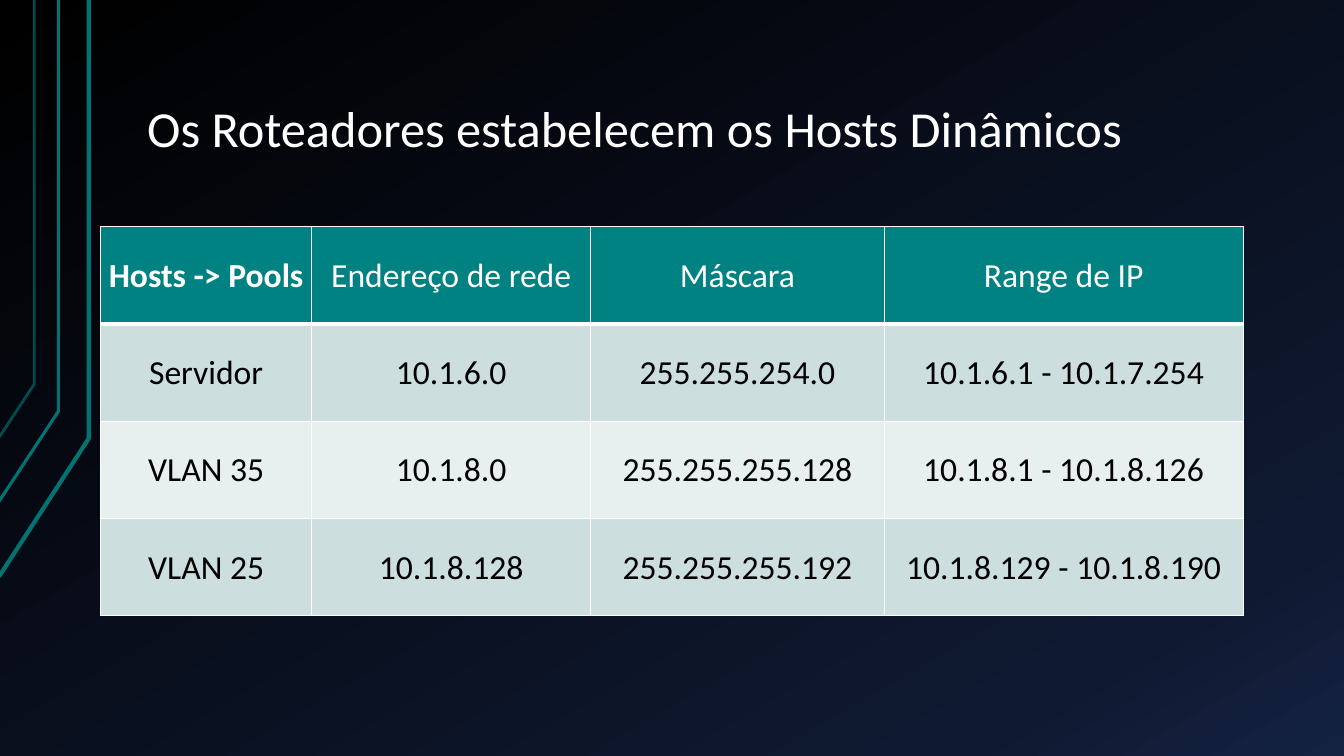
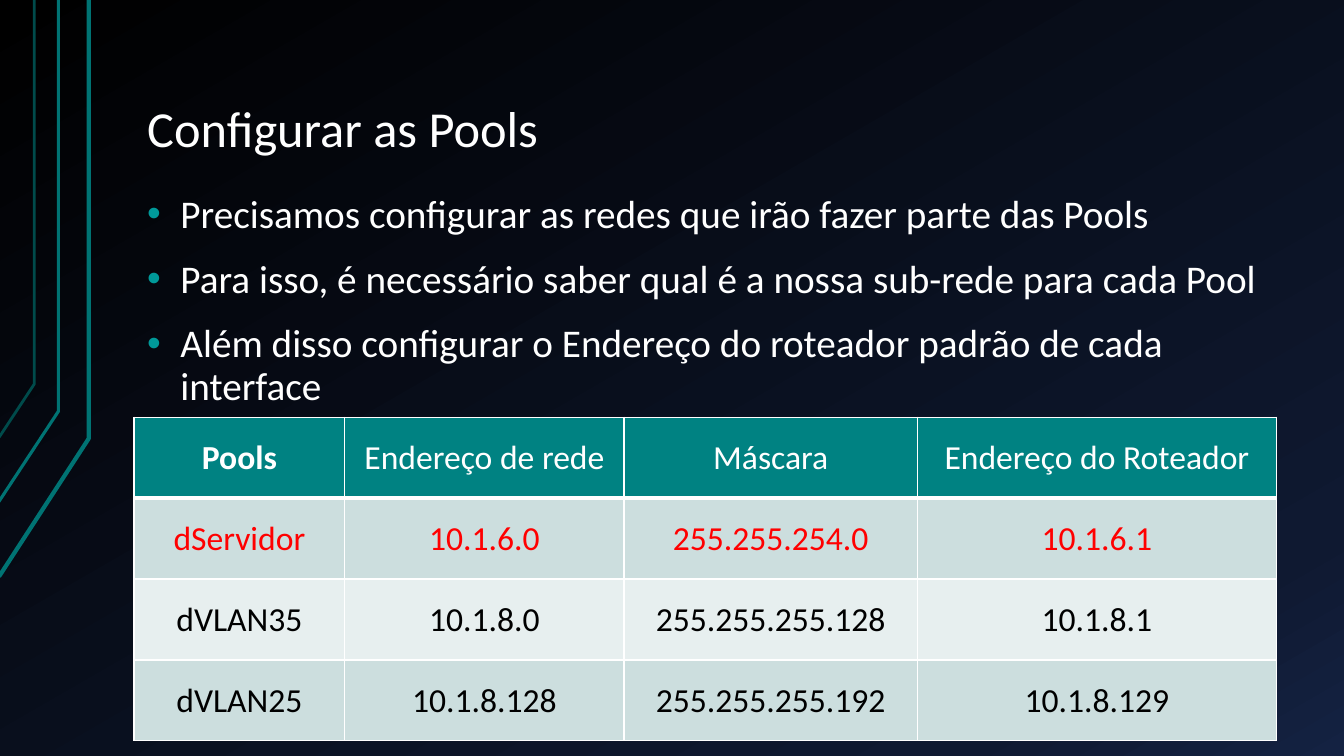
from copy import deepcopy
from dataclasses import dataclass

from lxml import etree
from pptx import Presentation
from pptx.dml.color import RGBColor
from pptx.enum import text
from pptx.oxml.ns import qn
from pptx.util import Inches, Pt


@dataclass(frozen=True)
class Theme:
    font: str = "Calibri"
    title_size: int = 36
    body_size: int = 28
    table_size: int = 24
    white: str = "FFFFFF"
    black: str = "000000"
    highlight: str = "FF0000"
    header: str = "008282"
    bands: tuple = ("CCDEDE", "E7EFEF")
    bullet: str = "009999"
    line: str = "007373"
    faint_line: str = "004B4B"
    background: tuple = ((0, "000000"), (0.85, "0F1931"), (1, "142242"))


THEME = Theme()
COLUMN_WIDTHS = (2.09, 2.77, 2.91, 3.56)

SLIDES = [
    {
        "title": "Os Roteadores estabelecem os Hosts Dinâmicos",
        "bullets": [],
        "table_box": (1, 2.25, 11.33, 3.86),
        "highlighted_row": None,
        "rows": [
            ("Hosts -> Pools", "Endereço de rede", "Máscara", "Range de IP"),
            ("Servidor", "10.1.6.0", "255.255.254.0", "10.1.6.1 - 10.1.7.254"),
            ("VLAN 35", "10.1.8.0", "255.255.255.128", "10.1.8.1 - 10.1.8.126"),
            ("VLAN 25", "10.1.8.128", "255.255.255.192", "10.1.8.129 - 10.1.8.190"),
        ],
    },
    {
        "title": "Configurar as Pools",
        "bullets": [
            "Precisamos configurar as redes que irão fazer parte das Pools",
            "Para isso, é necessário saber qual é a nossa sub-rede para cada Pool",
            "Além disso configurar o Endereço do roteador padrão de cada interface",
        ],
        "table_box": (1.33, 4.14, 11.33, 3.21),
        "highlighted_row": 1,
        "rows": [
            ("Pools", "Endereço de rede", "Máscara", "Endereço do Roteador"),
            ("dServidor", "10.1.6.0", "255.255.254.0", "10.1.6.1"),
            ("dVLAN35", "10.1.8.0", "255.255.255.128", "10.1.8.1"),
            ("dVLAN25", "10.1.8.128", "255.255.255.192", "10.1.8.129"),
        ],
    },
]


def format_text(text_frame, size, color, alignment, anchor, margins, bold=False):
    """Style every run; margins are left, top, right and bottom in inches."""
    text_frame.word_wrap = True
    text_frame.vertical_anchor = anchor
    sides = ("margin_left", "margin_top", "margin_right", "margin_bottom")
    for side, margin in zip(sides, margins):
        setattr(text_frame, side, Inches(margin))
    for paragraph in text_frame.paragraphs:
        paragraph.alignment = alignment
        for run in paragraph.runs:
            run.font.name = THEME.font
            run.font.size = Pt(size)
            run.font.bold = bold
            run.font.color.rgb = RGBColor.from_string(color)


def add_border(cell, side, width):
    properties = cell._tc.get_or_add_tcPr()
    border = etree.SubElement(properties, qn(f"a:ln{side}"), w=str(Pt(width)))
    fill = etree.SubElement(border, qn("a:solidFill"))
    etree.SubElement(fill, qn("a:srgbClr"), val=THEME.white)


presentation = Presentation()
presentation.slide_width = Inches(13.33)
presentation.slide_height = Inches(7.5)
master = presentation.slide_master
content_layout = presentation.slide_layouts.get_by_name("Title and Content")
title_layout = presentation.slide_layouts.get_by_name("Title Only")

# Background shared through the master
background = master.background.fill
background.gradient()
background.gradient_angle = 300
stop_list = master.element.find(".//" + qn("a:gsLst"))
stop_list.append(deepcopy(stop_list[0]))
for stop, (position, color) in zip(background.gradient_stops, THEME.background):
    stop.position = position
    stop.color.rgb = RGBColor.from_string(color)

text_margins = (0.13, 0.07, 0.13, 0.07)
cell_margins = (0.01, 0.01, 0.01, 0)

for content in SLIDES:
    layout = content_layout if content["bullets"] else title_layout
    slide = presentation.slides.add_slide(layout)

    title = slide.shapes.title
    title.left, title.top = Inches(1.33), Inches(0.3)
    title.width, title.height = Inches(11.33), Inches(1.34)
    title.text_frame.text = content["title"]
    title.text_frame.auto_size = text.MSO_AUTO_SIZE.NONE
    title.text_frame.paragraphs[0].line_spacing = 0.9
    format_text(title.text_frame, THEME.title_size, THEME.white,
                text.PP_ALIGN.LEFT, text.MSO_ANCHOR.BOTTOM, text_margins)

    if content["bullets"]:
        body = slide.placeholders[1]
        body.left, body.top = Inches(1.33), Inches(1.86)
        body.width, body.height = Inches(11.33), Inches(4.88)
        body.text_frame.text = "\n".join(content["bullets"])
        body.text_frame.auto_size = text.MSO_AUTO_SIZE.NONE
        format_text(body.text_frame, THEME.body_size, THEME.white,
                    text.PP_ALIGN.LEFT, text.MSO_ANCHOR.TOP, text_margins)
        for paragraph in body.text_frame.paragraphs:
            paragraph.line_spacing = 0.9
            paragraph.space_before = Pt(16)
            properties = paragraph._p.get_or_add_pPr()
            properties.set("marL", str(Inches(0.33)))
            properties.set("indent", str(-Inches(0.33)))
            bullet_color = etree.SubElement(properties, qn("a:buClr"))
            etree.SubElement(bullet_color, qn("a:srgbClr"), val=THEME.bullet)
            etree.SubElement(properties, qn("a:buFont"), typeface="Arial")
            etree.SubElement(properties, qn("a:buChar"), char="•")

    rows = content["rows"]
    box = [Inches(length) for length in content["table_box"]]
    table = slide.shapes.add_table(len(rows), len(COLUMN_WIDTHS), *box).table
    for column, width in zip(table.columns, COLUMN_WIDTHS):
        column.width = Inches(width)
    for row_index, row in enumerate(rows):
        is_header = row_index == 0
        if is_header:
            fill_color, text_color = THEME.header, THEME.white
        else:
            fill_color = THEME.bands[(row_index - 1) % 2]
            is_highlighted = row_index == content["highlighted_row"]
            text_color = THEME.highlight if is_highlighted else THEME.black
        for column_index, value in enumerate(row):
            cell = table.cell(row_index, column_index)
            cell.text_frame.text = value
            format_text(cell.text_frame, THEME.table_size, text_color,
                        text.PP_ALIGN.CENTER, None, cell_margins,
                        bold=is_header and column_index == 0)
            cell.vertical_anchor = text.MSO_ANCHOR.MIDDLE
            cell.margin_left, cell.margin_top, cell.margin_right, cell.margin_bottom = (
                Inches(margin) for margin in cell_margins)
            add_border(cell, "L", 1)
            add_border(cell, "R", 1)
            add_border(cell, "T", 3 if row_index == 1 else 1)
            add_border(cell, "B", 3 if is_header else 1)
            cell.fill.solid()
            cell.fill.fore_color.rgb = RGBColor.from_string(fill_color)

# Bent lines at the left edge, drawn on a slide and then moved to the master
bent_lines = [
    ([(-0.01, 5.72), (0.88, 4.35), (0.88, 0)], 3, THEME.line),
    ([(-0.02, 4.99), (0.58, 4.08), (0.58, 0)], 2.25, THEME.line),
    ([(-0.01, 4.34), (0.34, 3.81), (0.34, 0)], 2, THEME.faint_line),
]
for points, width, color in bent_lines:
    start, *others = [(Inches(x), Inches(y)) for x, y in points]
    builder = slide.shapes.build_freeform(*start)
    builder.add_line_segments(others, close=False)
    bent_line = builder.convert_to_shape()
    bent_line.shadow.inherit = False
    bent_line.fill.background()
    bent_line.line.width = Pt(width)
    bent_line.line.color.rgb = RGBColor.from_string(color)
    master.element.cSld.spTree.append(bent_line.element)

presentation.save("out.pptx")
